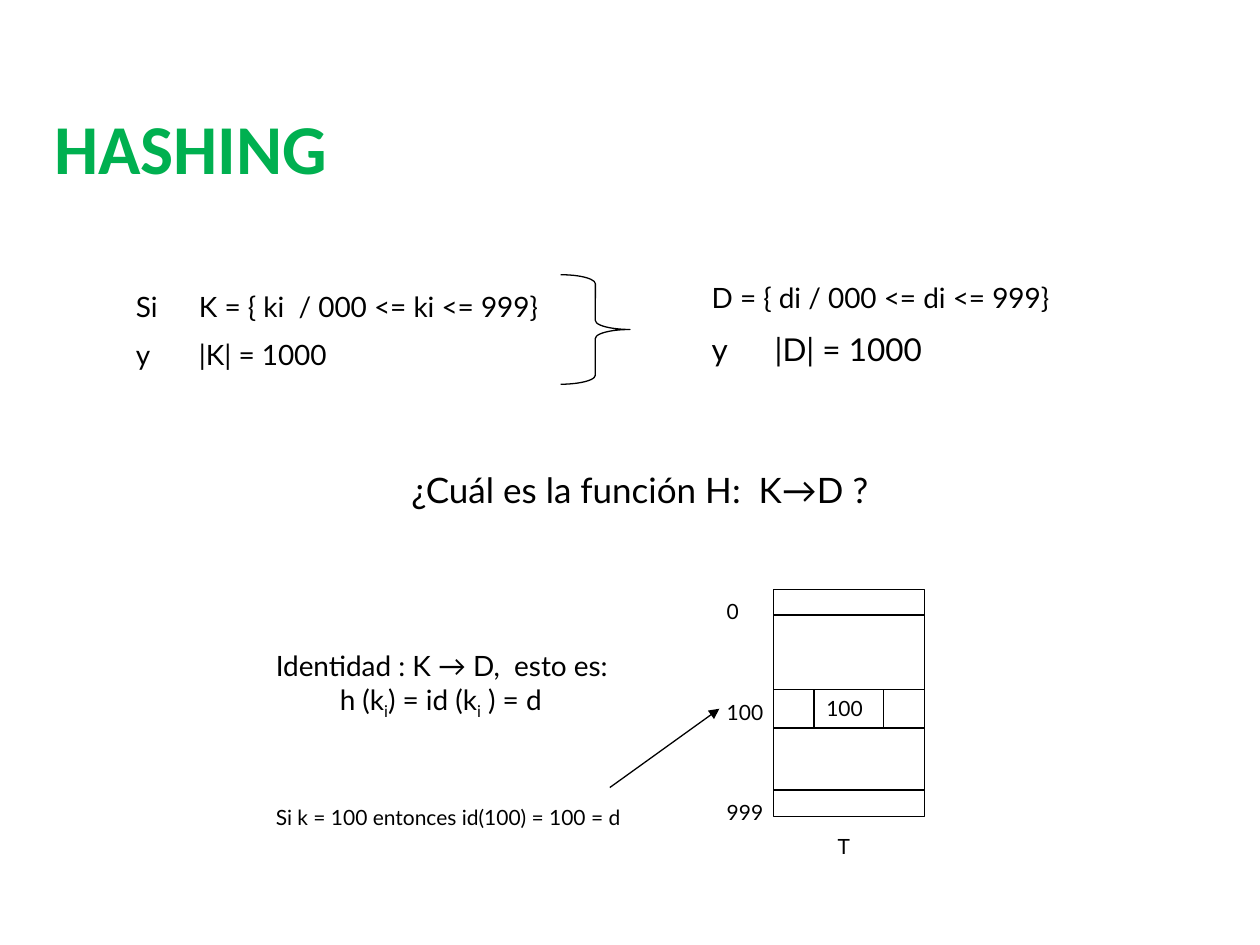
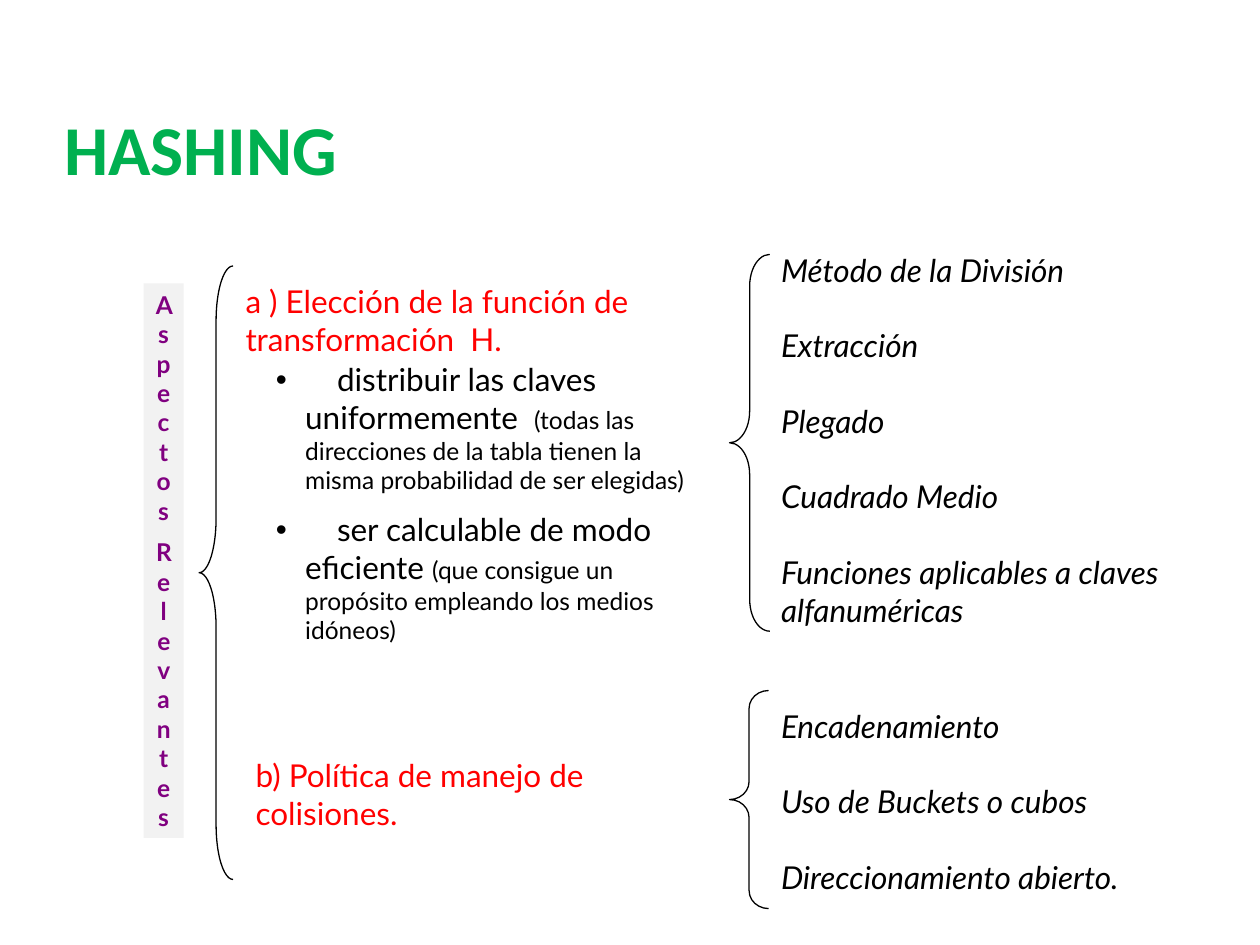
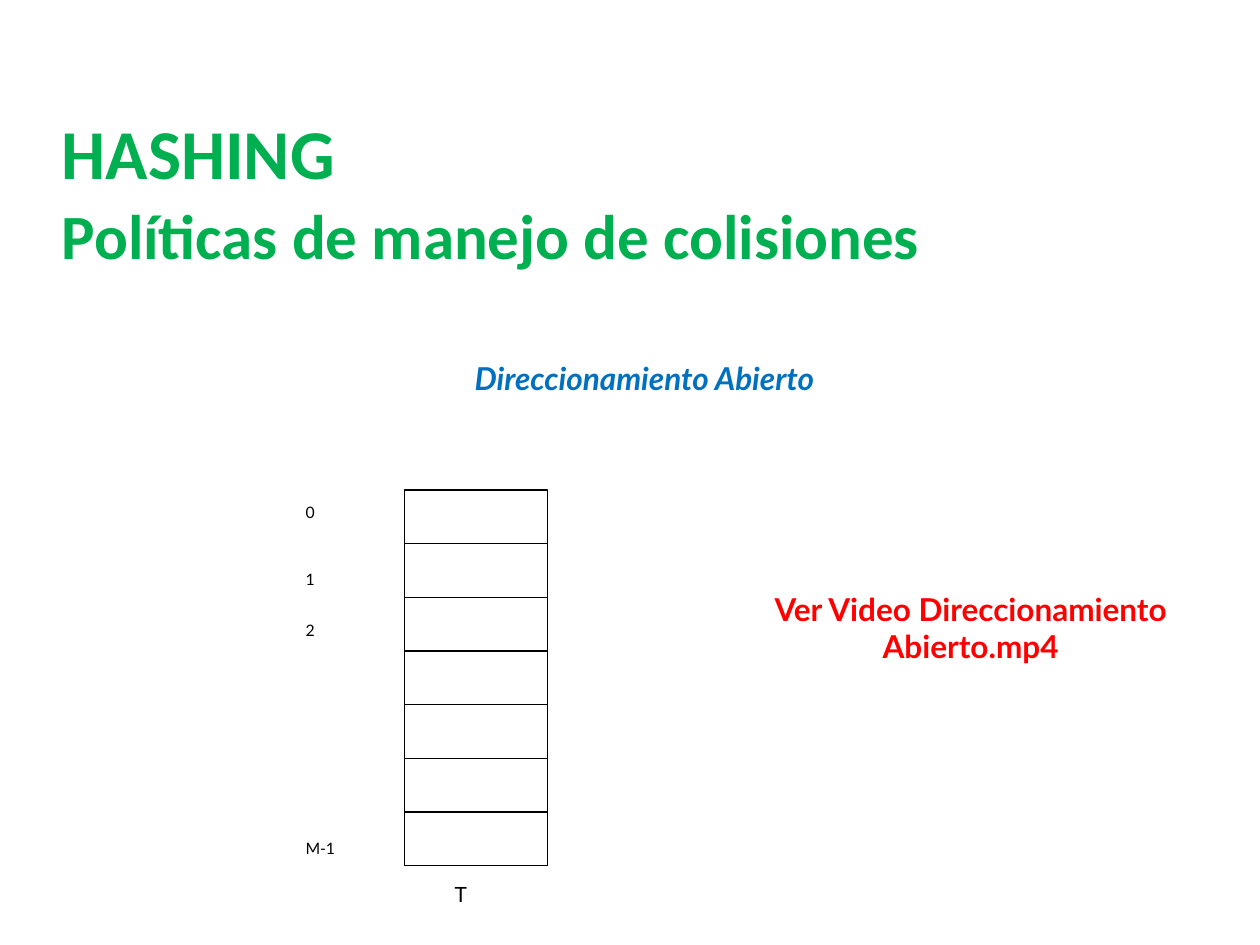
from dataclasses import dataclass

from pptx import Presentation
from pptx.dml.color import RGBColor
from pptx.enum.shapes import MSO_CONNECTOR, MSO_SHAPE
from pptx.enum.text import PP_ALIGN
from pptx.oxml.ns import qn
from pptx.util import Pt
from lxml import etree

LEFT, CENTER = PP_ALIGN.LEFT, PP_ALIGN.CENTER
RECT = MSO_SHAPE.RECTANGLE
LEFT_BRACE, RIGHT_BRACE = MSO_SHAPE.LEFT_BRACE, MSO_SHAPE.RIGHT_BRACE
STRAIGHT = MSO_CONNECTOR.STRAIGHT


@dataclass(frozen=True)
class Theme:
    """Colours, fonts and type sizes of the deck."""
    black: str = "000000"
    green: str = "00B050"
    red: str = "FF0000"
    blue: str = "0070C0"
    purple: str = "800080"
    grey: str = "F2F2F2"
    title_font: str = "Calibri"
    body_font: str = "Lato"
    title: int = 40
    subtitle: int = 36
    question: int = 20
    large: int = 18
    body: int = 16
    note: int = 14
    label: int = 12
    index: int = 9
    line: float = 0.75


T = Theme()


def fill_text(tf, paragraphs, size, color=T.black, font=T.body_font, bold=False,
              italic=False, align=LEFT, before=0):
    """Write paragraphs, each a list of strings or (string, size, baseline) runs."""
    tf.word_wrap = True
    for i, runs in enumerate(paragraphs):
        p = tf.paragraphs[0] if i == 0 else tf.add_paragraph()
        p.alignment = align
        p.space_before = Pt(before if i else 0)
        for run in runs:
            words, run_size, baseline = (run, size, 0) if isinstance(run, str) else run
            r = p.add_run()
            r.text = words
            r.font.name, r.font.size = font, Pt(run_size)
            r.font.bold, r.font.italic = bold, italic
            r.font.color.rgb = RGBColor.from_string(color)
            if baseline:
                r._r.get_or_add_rPr().set("baseline", str(baseline * 1000))


def add_text(s, box, paragraphs, size, **style):
    """Add a wrapped text box and return its text frame."""
    tf = s.shapes.add_textbox(*map(Pt, box)).text_frame
    fill_text(tf, paragraphs, size, **style)
    return tf


def add_title(s, left, top, subtitle=None):
    """Add the green heading, with an optional second line."""
    lines = [["HASHING"]] + ([[(subtitle, T.subtitle, 0)]] if subtitle else [])
    tf = add_text(s, (left, top, 650, 48 * len(lines)), lines, T.title,
                  color=T.green, font=T.title_font, bold=True, before=2)
    tf.margin_left = tf.margin_top = tf.margin_right = tf.margin_bottom = 0


def add_shape(s, kind, box, fill=None, adjust=()):
    """Add an outlined preset shape, or a filled one without outline."""
    sp = s.shapes.add_shape(kind, *map(Pt, box))
    sp.shadow.inherit = False
    for i, value in enumerate(adjust):
        sp.adjustments[i] = value
    if fill:
        sp.fill.solid()
        sp.fill.fore_color.rgb = RGBColor.from_string(fill)
        sp.line.fill.background()
    else:
        sp.fill.background()
        sp.line.color.rgb = RGBColor.from_string(T.black)
        sp.line.width = Pt(T.line)
    return sp


def add_line(s, x1, y1, x2, y2, arrow=False):
    """Draw a thin straight line, with an arrowhead at its end on request."""
    line = s.shapes.add_connector(STRAIGHT, Pt(x1), Pt(y1), Pt(x2), Pt(y2))
    line.line.color.rgb = RGBColor.from_string(T.black)
    line.line.width = Pt(T.line)
    if arrow:
        etree.SubElement(line.line._get_or_add_ln(), qn("a:tailEnd"), type="triangle")
    etree.SubElement(line._element.spPr, qn("a:effectLst"))


def add_hash_table(s, left, top, width, height, offsets):
    """Draw the storage table as a frame with dividers at the given offsets."""
    add_shape(s, RECT, (left, top, width, height))
    for offset in offsets:
        add_line(s, left, top + offset, left + width, top + offset)


def set_indent(p, margin, first=0, bullet=None, tab=None):
    """Set a paragraph's indents, bullet and tab stop."""
    pPr = p._p.get_or_add_pPr()
    pPr.set("marL", str(Pt(margin)))
    pPr.set("indent", str(Pt(first)))
    if bullet:
        etree.SubElement(pPr, qn("a:buFont"), typeface="Arial")
        etree.SubElement(pPr, qn("a:buChar"), char=bullet)
    if tab:
        tabs = etree.SubElement(pPr, qn("a:tabLst"))
        etree.SubElement(tabs, qn("a:tab"), pos=str(Pt(tab)), algn="l")


def build_identity(s):
    """Slide on the identity function between keys and addresses."""
    add_title(s, 31, 59.8)
    keys = add_text(s, (70.6, 162, 266, 55),
                    [["Si\tK = { ki  / 000 <= ki <= 999}"], ["y\t|K| = 1000"]],
                    T.body, before=8)
    addresses = add_text(s, (399.6, 157, 300, 59),
                         [["D = { di / 000 <= di <= 999}"],
                          [("y\t|D| = 1000", T.large, 0)]], T.body, before=9)
    for tf, tab in ((keys, 29), (addresses, 32)):
        for p in tf.paragraphs:
            set_indent(p, 0, tab=tab)
    add_shape(s, RIGHT_BRACE, (320.4, 157, 39.6, 62.6), adjust=(0.13, 0.5))
    add_text(s, (93.6, 264.2, 544.3, 31), [["¿Cuál es la función H:  K→D ?"]],
             T.question, align=CENTER)

    add_hash_table(s, 442, 337, 86.4, 129.6, (14.4, 57, 79, 114.4))
    cell = add_shape(s, RECT, (465.1, 394, 39.6, 21.8))
    fill_text(cell.text_frame, [["100"]], T.label)
    add_text(s, (471.6, 473, 29.5, 18), [["T"]], T.label)
    add_text(s, (408.2, 338.4, 39.6, 134.6), [["0"], ["100"], ["999"]],
             T.label, before=43.2)

    sub = ("i", T.body, -25)
    tf = add_text(s, (150.5, 367.2, 224.6, 115),
                  [["Identidad : K → D,  esto es:"],
                   ["h (k", sub, ") = id (k", sub, " ) = d"],
                   [("Si k = 100 entonces id(100) = 100 = d", T.label, 0)]], T.body)
    set_indent(tf.paragraphs[1], 36.6)
    tf.paragraphs[2].space_before = Pt(48)
    add_line(s, 348.5, 450, 411.1, 405, arrow=True)


def build_aspects(s):
    """Slide on the relevant aspects of hashing."""
    add_title(s, 36.7, 60.5)
    banner = add_shape(s, RECT, (82, 162, 23, 316.8), fill=T.grey)
    fill_text(banner.text_frame, [["Aspectos"], ["Relevantes"]], T.note,
              color=T.purple, bold=True, align=CENTER, before=7)
    add_text(s, (133.2, 157.7, 278, 50.4),
             [["a ) Elección de la función de transformación  H."]], T.large, color=T.red)
    add_text(s, (139, 428.4, 232.6, 50.4),
             [["b) Política de manejo de colisiones."]], T.large, color=T.red)
    goals = add_text(
        s, (150.5, 202.3, 260.6, 156.2),
        [["\tdistribuir las claves uniformemente  ",
          ("(todas las direcciones de la tabla tienen la misma probabilidad de ser elegidas)",
           T.note, 0)],
         ["\tser calculable de modo eficiente ",
          ("(que consigue un propósito empleando los medios idóneos)", T.note, 0)]],
        T.large, before=9)
    for p in goals.paragraphs:
        set_indent(p, 16.8, -16.8, "•", 35)

    methods = ("Método de la División", "Extracción", "Plegado", "Cuadrado Medio",
               "Funciones aplicables a claves alfanuméricas")
    policies = ("Encadenamiento", "Uso de Buckets o cubos", "Direccionamiento abierto.")
    for top, height, items in ((139.7, 223.2, methods), (400.3, 115.2, policies)):
        add_text(s, (439.2, top, 317.5, height), [[item] for item in items],
                 T.large, italic=True, before=21.6)
    for box, curl in (((113.8, 152, 19.4, 350.6), 1.61),
                      ((416.9, 145.4, 23, 215.3), 0.79),
                      ((416.9, 394.6, 22.3, 124.6), 0.46)):
        add_shape(s, LEFT_BRACE, box, adjust=(curl, 0.5))


def build_open_addressing(s):
    """Slide on open addressing."""
    add_title(s, 35.3, 62.4, "Políticas de manejo de colisiones")
    add_text(s, (155.5, 201.6, 425.5, 29), [["Direccionamiento Abierto"]],
             T.large, color=T.blue, bold=True, italic=True, align=CENTER)
    rows, height = 7, 214.6
    add_hash_table(s, 231, 280, 82, height, [height / rows * i for i in range(1, rows)])
    for index, top in (("0", 283.7), ("1", 321.8), ("2", 351.4), ("M-1", 476)):
        add_text(s, (167.5, top, 51, 19.4), [[index]], T.index)
    add_text(s, (252.7, 500.4, 51, 19.4), [["T"]], T.label)
    add_text(s, (426.2, 333.4, 257, 72.7), [["Ver Video Direccionamiento Abierto.mp4"]],
             T.large, color=T.red, bold=True, align=CENTER)


def main():
    """Build and save the deck."""
    prs = Presentation()
    prs.slide_width, prs.slide_height = Pt(720), Pt(540)
    for build in (build_identity, build_aspects, build_open_addressing):
        build(prs.slides.add_slide(prs.slide_layouts[6]))
    prs.save("out.pptx")


if __name__ == "__main__":
    main()
